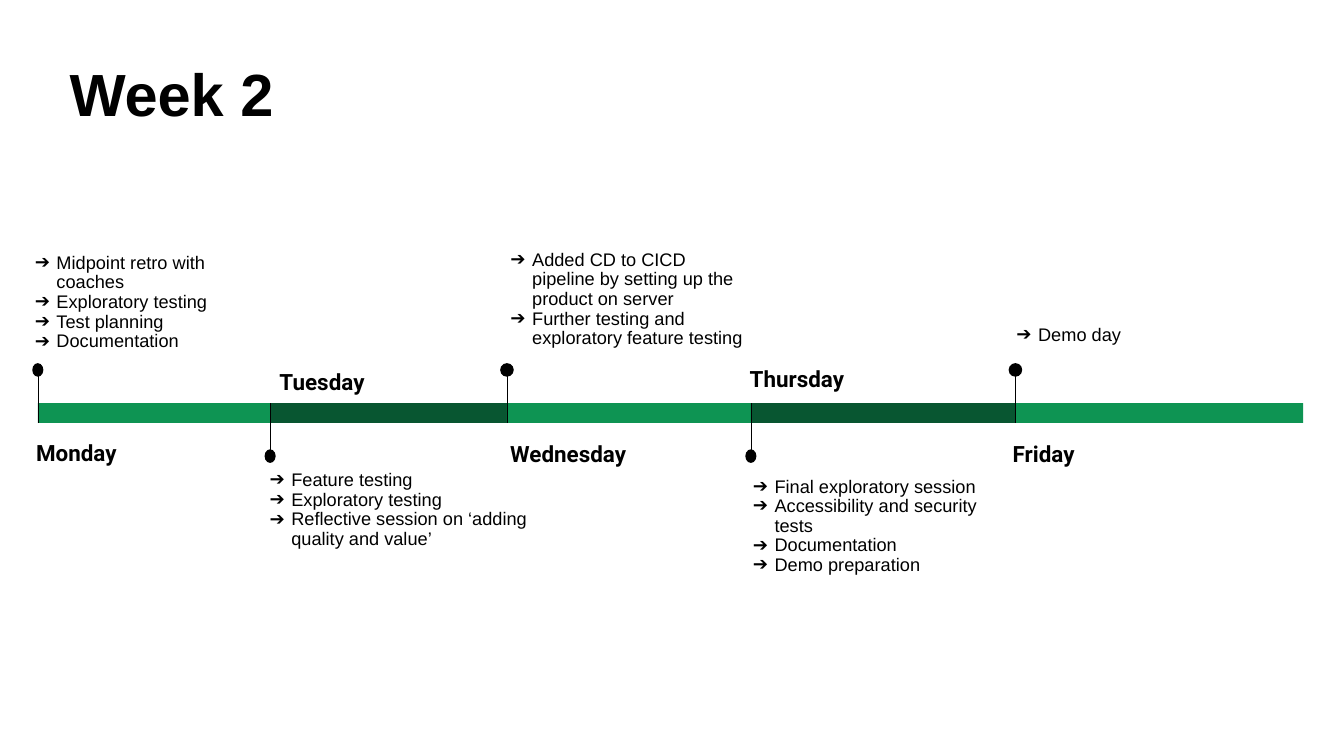
from dataclasses import dataclass

from lxml import etree
from pptx import Presentation
from pptx.dml.color import RGBColor
from pptx.enum.shapes import MSO_CONNECTOR, MSO_SHAPE
from pptx.enum.text import MSO_ANCHOR, PP_ALIGN
from pptx.oxml.ns import qn
from pptx.slide import Slide
from pptx.util import Inches, Pt

BLACK = RGBColor(0x00, 0x00, 0x00)
GREEN = RGBColor(0x0E, 0x94, 0x53)
DARK_GREEN = RGBColor(0x08, 0x56, 0x31)
RECTANGLE = MSO_SHAPE.RECTANGLE
OVAL = MSO_SHAPE.OVAL
STRAIGHT = MSO_CONNECTOR.STRAIGHT
LEFT, CENTER = PP_ALIGN.LEFT, PP_ALIGN.CENTER
TOP, MIDDLE = MSO_ANCHOR.TOP, MSO_ANCHOR.MIDDLE

BAR_TOP, BAR_HEIGHT = 8, 0.39
PIN_LENGTH, DOT_HEIGHT = 1.05, 0.27
BAR_EDGES = [0.75, 5.36, 10.06, 14.9, 20.15, 25.86]

# day, dot width, day label box, list box, list items
DAYS = [
    ("Monday", 0.22, (0.29, 8.37, 2.45, 1.08), (0.35, 4.76, 5.12, 3.13),
     ["Midpoint retro with coaches", "Exploratory testing",
      "Test planning", "Documentation"]),
    ("Tuesday", 0.22, (5.1, 6.96, 2.58, 1.08), (5.01, 9.07, 5.75, 3.12),
     ["Feature testing", "Exploratory testing",
      "Reflective session on ‘adding quality and value’"]),
    ("Wednesday", 0.27, (9.7, 8.39, 3.15, 1.08), (9.79, 4.7, 5.44, 3.24),
     ["Added CD to CICD pipeline by setting up the product on server",
      "Further testing and exploratory feature testing"]),
    ("Thursday", 0.22, (14.06, 6.9, 3.51, 1.08), (14.6, 9.2, 5.44, 3.12),
     ["Final exploratory session", "Accessibility and security tests",
      "Documentation", "Demo preparation"]),
    ("Friday", 0.27, (19.7, 8.39, 2.02, 1.08), (19.83, 6.27, 6.15, 3.12),
     ["Demo day"]),
]


def add_arrow_bullet(paragraph):
    properties = paragraph._p.get_or_add_pPr()
    properties.set("marL", str(Inches(0.5)))
    properties.set("indent", str(Inches(-0.43)))
    color = etree.SubElement(properties, qn("a:buClr"))
    etree.SubElement(color, qn("a:srgbClr"), val=str(BLACK))
    etree.SubElement(properties, qn("a:buFont"), typeface="Arial")
    etree.SubElement(properties, qn("a:buChar"), char="➔")


@dataclass
class Timeline:
    slide: Slide
    body_font: str = "Arial"
    label_font: str = "Roboto"
    text_color: RGBColor = BLACK

    def text(self, lines, box, *, size, font, bold=False, align=LEFT, anchor=TOP,
             spacing=1.0, after=0, inset=0.27, bullets=False):
        shape = self.slide.shapes.add_textbox(*map(Inches, box))
        frame = shape.text_frame
        frame.word_wrap = True
        frame.vertical_anchor = anchor
        frame.margin_left = frame.margin_right = Inches(inset)
        frame.margin_top = frame.margin_bottom = Inches(inset)
        for index, line in enumerate(lines):
            paragraph = frame.add_paragraph() if index else frame.paragraphs[0]
            if bullets:
                add_arrow_bullet(paragraph)
            paragraph.alignment = align
            paragraph.line_spacing = spacing
            paragraph.space_after = Pt(after)
            run = paragraph.add_run()
            run.text = line
            run.font.name = font
            run.font.size = Pt(size)
            run.font.bold = bold
            run.font.color.rgb = self.text_color

    def title(self, text):
        self.text([text], (1.32, 1.18, 24.03, 1.57), size=85, font=self.body_font,
                  bold=True, anchor=MIDDLE, spacing=0.8, inset=0.06)

    def day_label(self, text, box):
        self.text([text], box, size=32, font=self.label_font, bold=True,
                  align=CENTER, spacing=1.15, after=43)

    def activities(self, items, box):
        self.text(items, box, size=26, font=self.body_font, spacing=0.9, bullets=True)

    def filled_shape(self, kind, box, color):
        shape = self.slide.shapes.add_shape(kind, *map(Inches, box))
        shape.shadow.inherit = False
        shape.fill.solid()
        shape.fill.fore_color.rgb = color
        shape.line.fill.background()

    def pin(self, x, dot_width, upward):
        """Draw a line from the bar to a dot above or below it."""
        base = BAR_TOP + BAR_HEIGHT if upward else BAR_TOP
        tip = base - PIN_LENGTH if upward else base + PIN_LENGTH
        line = self.slide.shapes.add_connector(
            STRAIGHT, Inches(x), Inches(tip), Inches(x), Inches(base))
        line.line.color.rgb = BLACK
        line.line.width = Pt(0.75)
        etree.SubElement(line._element.spPr, qn("a:effectLst"))
        dot = (x - dot_width / 2, tip - DOT_HEIGHT / 2, dot_width, DOT_HEIGHT)
        self.filled_shape(OVAL, dot, BLACK)


def main():
    presentation = Presentation()
    presentation.slide_width = Inches(26.67)
    presentation.slide_height = Inches(15)
    timeline = Timeline(presentation.slides.add_slide(presentation.slide_layouts[6]))

    timeline.title("Week 2")
    for index, (left, right) in enumerate(zip(BAR_EDGES, BAR_EDGES[1:])):
        color = DARK_GREEN if index % 2 else GREEN
        timeline.filled_shape(RECTANGLE, (left, BAR_TOP, right - left, BAR_HEIGHT), color)
    for index, (day, dot_width, label_box, list_box, items) in enumerate(DAYS):
        timeline.pin(BAR_EDGES[index], dot_width, upward=index % 2 == 0)
        timeline.day_label(day, label_box)
        timeline.activities(items, list_box)

    presentation.save("out.pptx")


if __name__ == "__main__":
    main()
